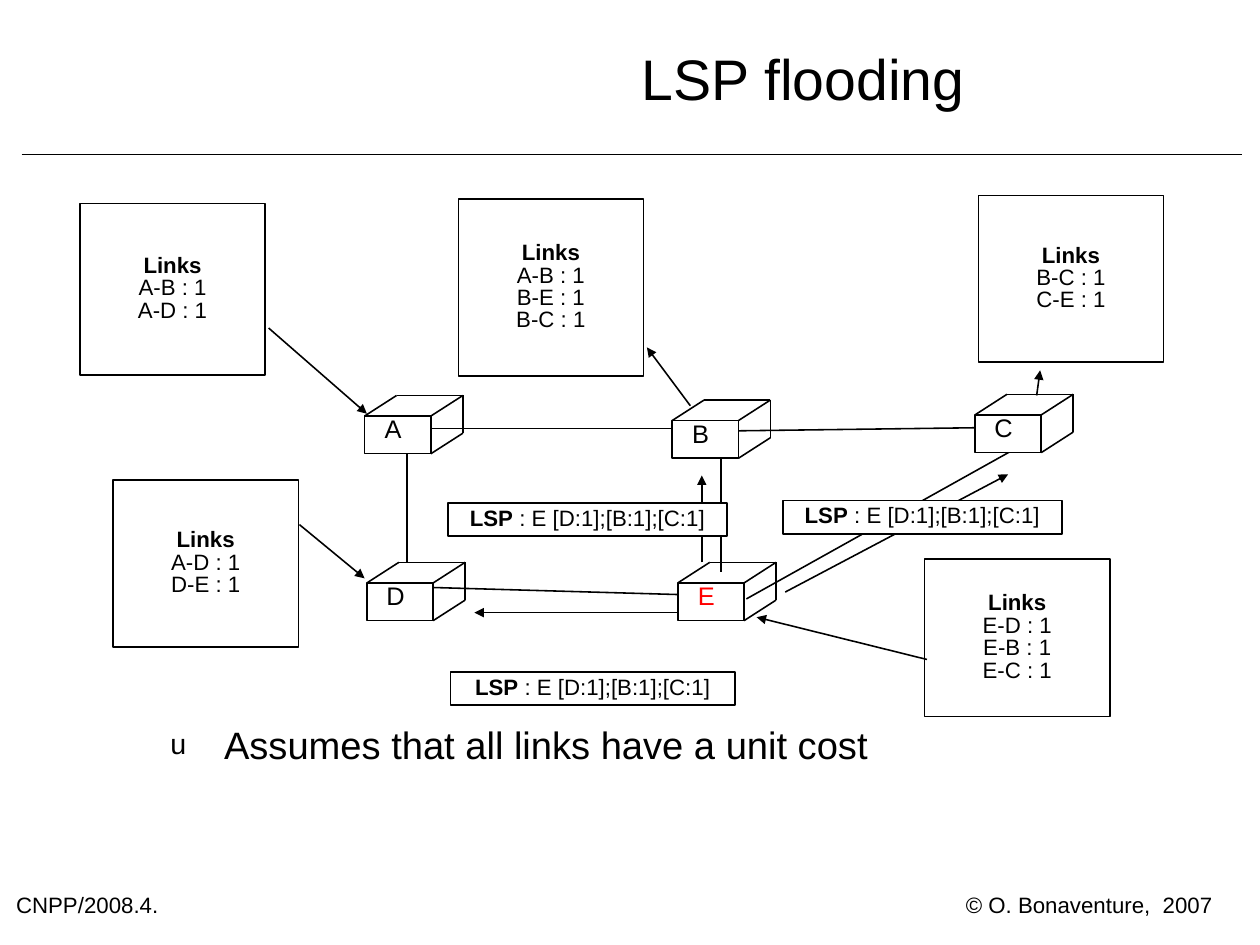
import dataclasses

import lxml.etree
import pptx
import pptx.dml.color
import pptx.enum.shapes
import pptx.enum.text
import pptx.oxml.ns
import pptx.util

Inches = pptx.util.Inches
Align = pptx.enum.text.PP_ALIGN
Anchor = pptx.enum.text.MSO_ANCHOR
qn = pptx.oxml.ns.qn

COLORS = {"ink": "000000", "paper": "FFFFFF", "source": "FF0000"}
FONT = "Arial"
CM_PER_INCH = 2.54
PAGE_WIDTH, PAGE_HEIGHT = 28 / CM_PER_INCH, 21 / CM_PER_INCH
ROUTER_WIDTH, ROUTER_HEIGHT = 0.58, 0.33
DEPTH_X, DEPTH_Y = 0.28, 0.18
PANEL_WIDTH = 1.62


@dataclasses.dataclass
class Span:
    text: str
    bold: bool = False


@dataclasses.dataclass
class Router:
    name: str
    left: float
    top: float
    color: str = "ink"


@dataclasses.dataclass
class LinkPanel:
    left: float
    top: float
    height: float
    links: list[str]


@dataclasses.dataclass
class Packet:
    left: float
    top: float
    width: float = 2.44


@dataclasses.dataclass
class Line:
    x1: float
    y1: float
    x2: float
    y2: float
    arrow: bool = False


HEADER_RULE = Line(0.19, 1.35, 10.87, 1.35)
NETWORK_LINKS = [
    Line(3.56, 3.96, 3.56, 4.92),
    Line(3.78, 5.14, 6.22, 5.21),
    Line(3.74, 3.75, 6.19, 3.75),
    Line(6.31, 3.94, 6.31, 5),
    Line(6.53, 5.24, 8.84, 3.95),
    Line(6.42, 3.77, 8.73, 3.74),
]
ROUTERS = [
    Router("A", 3.19, 3.64),
    Router("B", 5.88, 3.68),
    Router("C", 8.53, 3.63),
    Router("D", 3.21, 5.1),
    Router("E", 5.93, 5.1, "source"),
]
PANELS = [
    LinkPanel(0.7, 1.78, 1.5, ["A-B : 1", "A-D : 1"]),
    LinkPanel(4.01, 1.74, 1.55, ["A-B : 1", "B-E : 1", "B-C : 1"]),
    LinkPanel(8.56, 1.71, 1.46, ["B-C : 1", "C-E : 1"]),
    LinkPanel(0.99, 4.2, 1.46, ["A-D : 1", "D-E : 1"]),
    LinkPanel(8.09, 4.89, 1.38, ["E-D : 1", "E-B : 1", "E-C : 1"]),
]
PANEL_ARROWS = [
    Line(2.35, 2.87, 3.21, 3.62, True),
    Line(6.04, 3.55, 5.66, 3.04, True),
    Line(9.07, 3.46, 9.1, 3.24, True),
    Line(2.62, 4.59, 3.19, 5.06, True),
    Line(8.11, 5.77, 6.62, 5.4, True),
]
FLOOD_ARROWS = [
    Line(5.93, 5.36, 4.15, 5.36, True),
    Line(6.14, 4.92, 6.14, 4.16, True),
    Line(6.87, 5.18, 8.82, 4.15, True),
]
PACKETS = [Packet(3.94, 5.88, 2.49), Packet(3.92, 4.4), Packet(6.85, 4.38)]


def rgb(name: str) -> pptx.dml.color.RGBColor:
    return pptx.dml.color.RGBColor.from_string(COLORS[name])


def add_bullet(para, char: str, margin: float, hanging: float) -> None:
    props = para._p.get_or_add_pPr()
    props.set("marL", str(Inches(margin)))
    props.set("indent", str(-Inches(hanging)))
    lxml.etree.SubElement(props, qn("a:buSzPct"), val="75000")
    lxml.etree.SubElement(props, qn("a:buFont"), typeface=FONT)
    lxml.etree.SubElement(props, qn("a:buChar"), char=char)


def write(shape, lines: list[list[Span]], *, size: float = 14, color: str = "ink",
          align=Align.LEFT, anchor=Anchor.TOP, wrap: bool = True, bullet: str = "") -> None:
    """Fill a shape with one paragraph per list of spans."""
    frame = shape.text_frame
    frame.margin_left = frame.margin_right = frame.margin_top = frame.margin_bottom = 0
    frame.word_wrap = wrap
    frame.vertical_anchor = anchor
    for index, spans in enumerate(lines):
        para = frame.add_paragraph() if index else frame.paragraphs[0]
        if bullet:
            add_bullet(para, bullet, 1.18, 0.47)
        para.alignment = align
        para.line_spacing = 0.84
        for span in spans:
            run = para.add_run()
            run.text = span.text
            run.font.name = FONT
            run.font.size = pptx.util.Pt(size)
            run.font.bold = span.bold
            run.font.color.rgb = rgb(color)


def add_text(page, left: float, top: float, width: float, height: float, text: str, **style) -> None:
    box = page.shapes.add_textbox(Inches(left), Inches(top), Inches(width), Inches(height))
    write(box, [[Span(text)]], **style)


def add_box(page, left: float, top: float, width: float, height: float, filled: bool = True):
    box = page.shapes.add_shape(pptx.enum.shapes.MSO_SHAPE.RECTANGLE,
                                Inches(left), Inches(top), Inches(width), Inches(height))
    box.shadow.inherit = False
    if filled:
        box.fill.solid()
        box.fill.fore_color.rgb = rgb("paper")
    else:
        box.fill.background()
    box.line.color.rgb = rgb("ink")
    box.line.width = pptx.util.Pt(1)
    return box


def add_line(page, line: Line) -> None:
    connector = page.shapes.add_connector(
        pptx.enum.shapes.MSO_CONNECTOR.STRAIGHT,
        Inches(line.x1), Inches(line.y1), Inches(line.x2), Inches(line.y2))
    connector.line.color.rgb = rgb("ink")
    connector.line.width = pptx.util.Pt(1)
    props = connector.element.spPr
    if line.arrow:
        lxml.etree.SubElement(props.find(qn("a:ln")), qn("a:tailEnd"), type="triangle")
    lxml.etree.SubElement(props, qn("a:effectLst"))


def add_router(page, router: Router) -> None:
    """Draw a see-through cube with a white front face and its letter."""
    left, top = router.left, router.top
    right, bottom = left + ROUTER_WIDTH, top + ROUTER_HEIGHT
    add_box(page, left, top, ROUTER_WIDTH, ROUTER_HEIGHT)
    for x, y in [(left, top), (right, top), (right, bottom)]:
        add_line(page, Line(x, y, x + DEPTH_X, y - DEPTH_Y))
    back_right, back_top = right + DEPTH_X, top - DEPTH_Y
    add_line(page, Line(left + DEPTH_X, back_top, back_right, back_top))
    add_line(page, Line(back_right, back_top, back_right, bottom - DEPTH_Y))
    add_text(page, left + 0.1, top + 0.02, 0.3, 0.25, router.name,
             size=16, color=router.color, align=Align.CENTER)


def add_panel(page, panel: LinkPanel) -> None:
    box = add_box(page, panel.left, panel.top, PANEL_WIDTH, panel.height, filled=False)
    lines = [[Span("Links", bold=True)]] + [[Span(link)] for link in panel.links]
    write(box, lines, align=Align.CENTER, anchor=Anchor.MIDDLE)


def add_packet(page, packet: Packet) -> None:
    box = add_box(page, packet.left, packet.top, packet.width, 0.29)
    write(box, [[Span("LSP", bold=True), Span(" : E [D:1];[B:1];[C:1]")]],
          align=Align.CENTER, anchor=Anchor.MIDDLE)


def main() -> None:
    deck = pptx.Presentation()
    deck.slide_width, deck.slide_height = Inches(PAGE_WIDTH), Inches(PAGE_HEIGHT)
    page = deck.slides.add_slide(deck.slide_layouts[6])

    add_line(page, HEADER_RULE)
    add_text(page, 8.45, 7.84, 2.16, 0.2, "© O. Bonaventure,  2007", wrap=False)
    add_text(page, 0.14, 7.84, 1.68, 0.24, "CNPP/2008.4.")
    add_text(page, 3.73, 0, 6.59, 1.46, "LSP flooding",
             size=36, align=Align.CENTER, anchor=Anchor.MIDDLE)
    add_text(page, 0.78, 6.38, 9.41, 1.89, "Assumes that all links have a unit cost",
             size=24, bullet="u")

    for link in NETWORK_LINKS:
        add_line(page, link)
    for router in ROUTERS:
        add_router(page, router)
    for panel in PANELS:
        add_panel(page, panel)
    for arrow in PANEL_ARROWS + FLOOD_ARROWS:
        add_line(page, arrow)
    for packet in PACKETS:
        add_packet(page, packet)

    deck.save("out.pptx")


if __name__ == "__main__":
    main()
